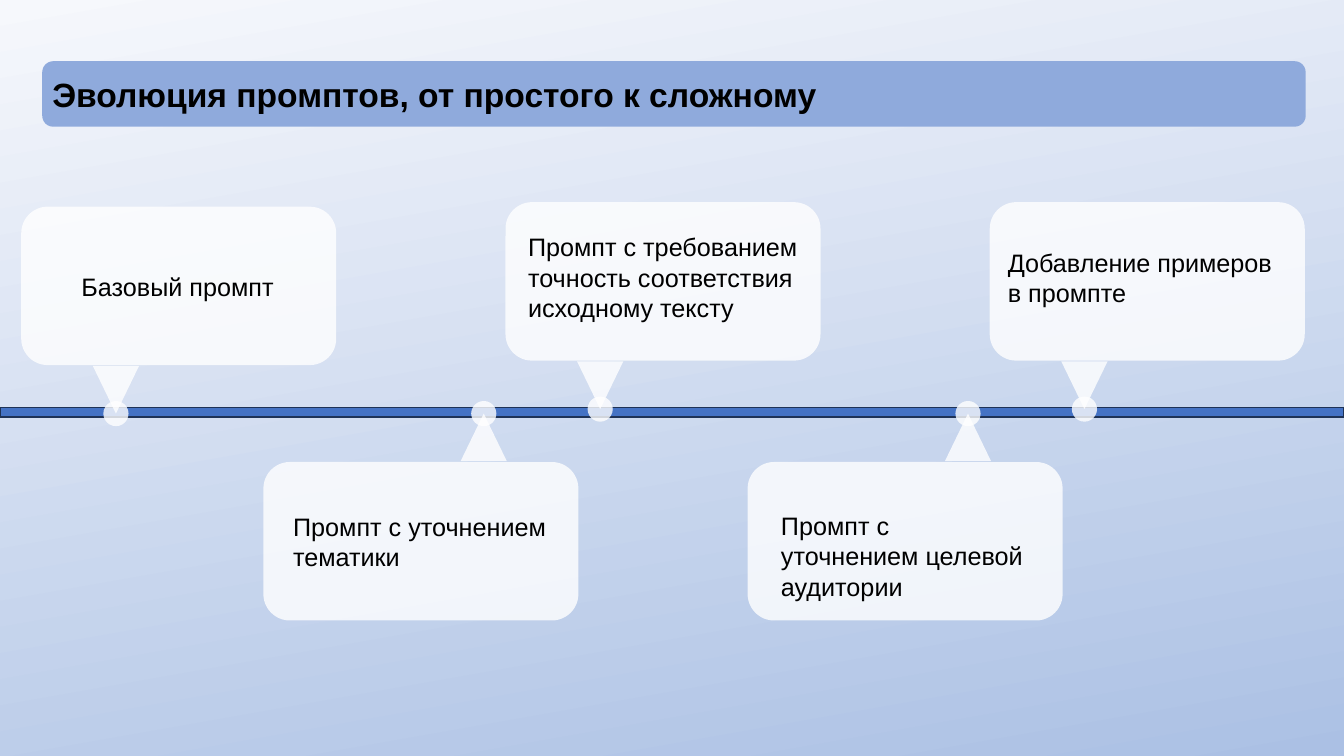
"""Build the slide that shows how prompts evolve along a timeline."""

from typing import NamedTuple

import pptx
import pptx.dml.color
import pptx.enum.shapes
import pptx.enum.text
import pptx.oxml
import pptx.oxml.ns
import pptx.util

Pt = pptx.util.Pt
Shape = pptx.enum.shapes.MSO_SHAPE
FONT = "Arial"
CARD_WIDTH, CARD_HEIGHT = 225, 113.2
CARD_LEFT, CARD_PITCH = 15.2, 172.95
POINTER_WIDTH, POINTER_HEIGHT = 33, 34
POINTER_INSET = 67.6
NODE_SIZE = 18


class Bounds(NamedTuple):
    left: float
    top: float
    width: float
    height: float


class Stage(NamedTuple):
    text: str
    node_y: float
    above: bool
    label: Bounds
    wrap: bool = True


STAGES = [
    Stage("Базовый промпт", 295.4, True, Bounds(51.1, 190.1, 153.4, 29), False),
    Stage("Промпт с уточнением тематики", 295.4, False,
          Bounds(202.3, 361.4, 197.3, 51)),
    Stage("Промпт с требованием точность соответствия исходному тексту",
          292.2, True, Bounds(370.1, 162, 208.1, 72.7)),
    Stage("Промпт с уточнением целевой аудитории", 295.4, False,
          Bounds(550.8, 361, 187.2, 72.7)),
    Stage("Добавление примеров в промпте", 292.2, True,
          Bounds(712.8, 172.8, 213.1, 51)),
]


def set_color(color, value: str) -> None:
    color.rgb = pptx.dml.color.RGBColor.from_string(value)


def lengths(bounds: Bounds) -> list:
    return [Pt(value) for value in bounds]


def add_block(shapes, kind, bounds: Bounds, fill: str, opacity: int = 100,
              line: str = ""):
    block = shapes.add_shape(kind, *lengths(bounds))
    block.shadow.inherit = False
    block.fill.solid()
    set_color(block.fill.fore_color, fill)
    if opacity < 100:
        color = block.fill._xPr.find(".//" + pptx.oxml.ns.qn("a:srgbClr"))
        alpha = pptx.oxml.parse_xml(
            f'<a:alpha {pptx.oxml.ns.nsdecls("a")} val="{opacity * 1000}"/>')
        color.append(alpha)
    if line:
        set_color(block.line.color, line)
        block.line.width = Pt(1)
    else:
        block.line.fill.background()
    return block


def write_text(box, text: str, *, size: float, bold: bool = False,
               wrap: bool = True, color: str = "000000") -> None:
    frame = box.text_frame
    frame.word_wrap = wrap
    frame.auto_size = pptx.enum.text.MSO_AUTO_SIZE.SHAPE_TO_FIT_TEXT
    frame.vertical_anchor = pptx.enum.text.MSO_ANCHOR.TOP
    para = frame.paragraphs[0]
    para.alignment = pptx.enum.text.PP_ALIGN.LEFT
    span = para.add_run()
    span.text = text
    span.font.name = FONT
    span.font.size = Pt(size)
    span.font.bold = bold
    set_color(span.font.color, color)


def paint_background(page) -> None:
    fill = page.background.fill
    fill.gradient()
    fill.gradient_angle = 280
    for stop, color in zip(fill.gradient_stops, ("F6F8FC", "ABC0E4")):
        set_color(stop.color, color)


def add_title(page) -> None:
    title = page.shapes.title
    title.left, title.top, title.width, title.height = lengths(
        Bounds(30.2, 49, 565.2, 36))
    write_text(title, "Эволюция промптов, от простого к сложному",
               size=24, bold=True, wrap=False)
    bar = add_block(page.shapes, Shape.ROUNDED_RECTANGLE,
                    Bounds(30.2, 43.7, 902.5, 46.8), "8FAADC")
    title._element.addprevious(bar._element)


def add_callout(page, stage: Stage, left: float) -> None:
    if stage.above:
        node_x = left + POINTER_INSET
        pointer_top = stage.node_y + 3 - POINTER_HEIGHT - 3
        card_top = pointer_top - CARD_HEIGHT - 0.6
    else:
        node_x = left + CARD_WIDTH - POINTER_INSET
        pointer_top = stage.node_y
        card_top = pointer_top + POINTER_HEIGHT + 0.6
    parts = [
        (Shape.ISOSCELES_TRIANGLE,
         Bounds(node_x - POINTER_WIDTH / 2, pointer_top,
                POINTER_WIDTH, POINTER_HEIGHT)),
        (Shape.OVAL,
         Bounds(node_x - NODE_SIZE / 2, stage.node_y - NODE_SIZE / 2,
                NODE_SIZE, NODE_SIZE)),
        (Shape.ROUNDED_RECTANGLE,
         Bounds(left, card_top, CARD_WIDTH, CARD_HEIGHT)),
    ]
    group = page.shapes.add_group_shape()
    for kind, bounds in parts:
        block = add_block(group.shapes, kind, bounds, "FFFFFF", opacity=80)
        if kind == Shape.ISOSCELES_TRIANGLE and stage.above:
            block.rotation = 180


def main() -> None:
    deck = pptx.Presentation()
    deck.slide_width, deck.slide_height = Pt(960), Pt(540)
    page = deck.slides.add_slide(deck.slide_layouts[5])
    paint_background(page)
    add_title(page)
    add_block(page.shapes, Shape.RECTANGLE, Bounds(0, 291, 960, 7),
              "4472C4", line="1E3256")
    for index, stage in enumerate(STAGES):
        add_callout(page, stage, CARD_LEFT + index * CARD_PITCH)
    for stage in STAGES:
        label = page.shapes.add_textbox(*lengths(stage.label))
        write_text(label, stage.text, size=18, wrap=stage.wrap)
    deck.save("out.pptx")


if __name__ == "__main__":
    main()
